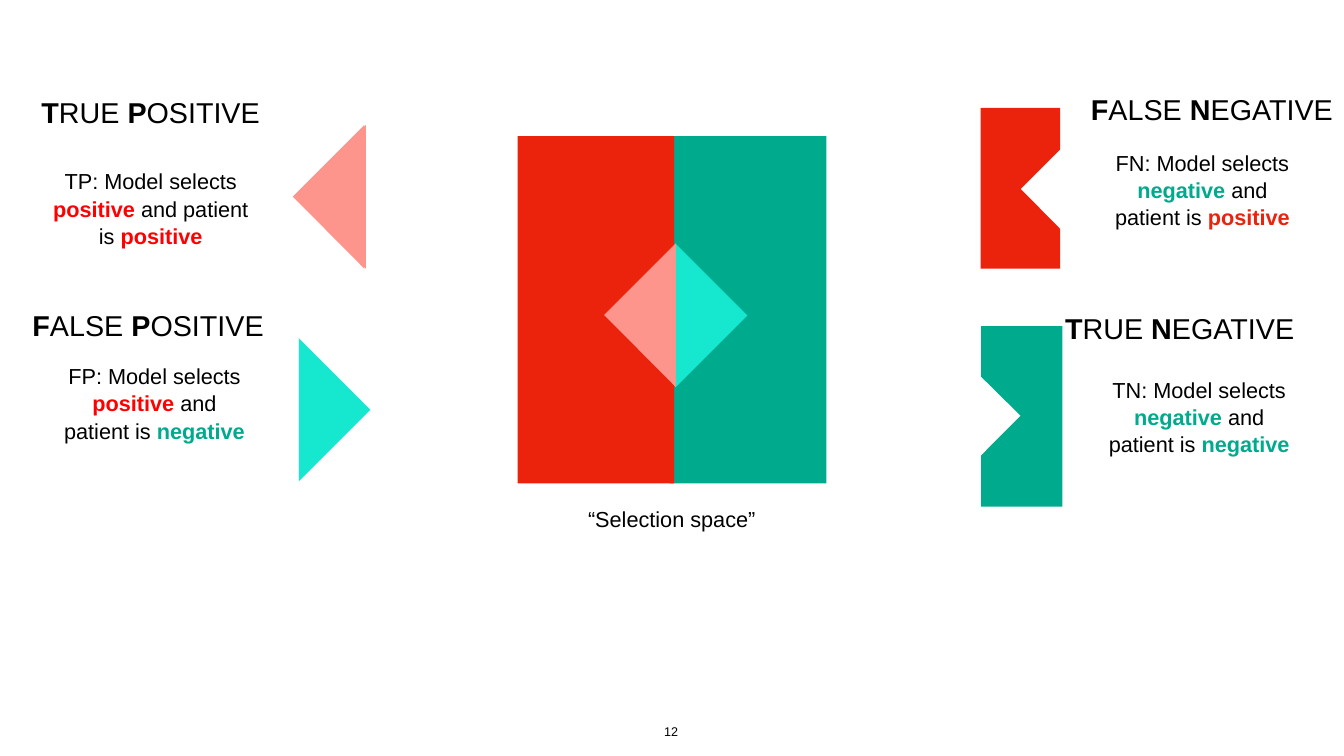
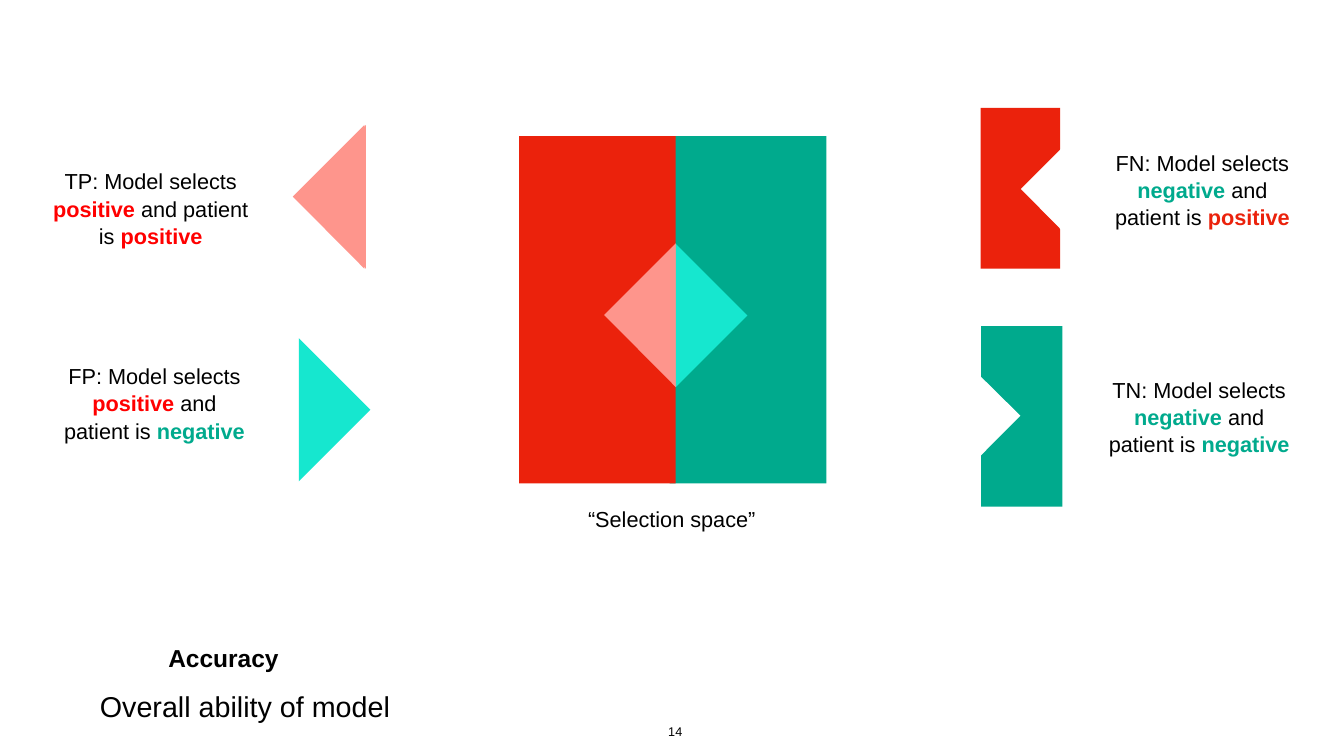
from pptx import Presentation
from pptx.dml.color import RGBColor as RGB
from pptx.enum.shapes import MSO_SHAPE as Shape
from pptx.enum.text import MSO_ANCHOR as Anchor, PP_ALIGN as Align
from pptx.util import Pt

PX = 9144  # 100 px to the inch
WIDE, HIGH = 2667, 1500
FONT = "Arial"
BLACK, WHITE = RGB(0, 0, 0), RGB(255, 255, 255)
RED, TEAL = RGB(0xEB, 0x22, 0x0C), RGB(0x00, 0xAA, 0x8D)
PINK, AQUA = RGB(0xFE, 0x95, 0x8C), RGB(0x16, 0xE7, 0xCF)
BRIGHT = RGB(0xFF, 0, 0)


def paint(shape, color):
    shape.shadow.inherit = False
    shape.fill.solid()
    shape.fill.fore_color.rgb = color
    shape.line.fill.background()


def block(slide, box, color):
    paint(slide.shapes.add_shape(Shape.RECTANGLE, *(v * PX for v in box)), color)


def wedge(slide, base, tip, top, high, color):
    """Triangle with an upright base and its tip halfway down."""
    pen = slide.shapes.build_freeform(base, top, scale=PX)
    pen.add_line_segments([(tip, top + high // 2), (base, top + high)])
    paint(pen.convert_to_shape(), color)


def write(slide, box, runs, size, anchor=Anchor.MIDDLE, gap=None):
    """Centred text; runs are (text, bold, colour)."""
    frame = slide.shapes.add_textbox(*(v * PX for v in box)).text_frame
    frame.word_wrap = True
    frame.vertical_anchor = anchor
    frame.margin_left = frame.margin_right = 6 * PX
    frame.margin_top = frame.margin_bottom = 6 * PX
    para = frame.paragraphs[0]
    para.alignment = Align.CENTER
    para.line_spacing = gap
    para.font.name, para.font.size = FONT, Pt(size)
    for text, bold, color in runs:
        run = para.add_run()
        run.text = text
        run.font.bold = bold
        run.font.color.rgb = color


def plain(slide, box, text, size, bold=False, anchor=Anchor.MIDDLE):
    write(slide, box, [(text, bold, BLACK)], size, anchor)


def heading(slide, box, words):
    """Capitals with the first letter of each word in bold."""
    runs = []
    for i, word in enumerate(words):
        tail = " " if i < len(words) - 1 else ""
        runs += [(word[0], True, BLACK), (word[1:] + tail, False, BLACK)]
    write(slide, box, runs, 41)


def caption(slide, box, code, model, patient):
    """Explains one outcome; model and patient are (word, colour)."""
    runs = [(f"{code}: Model selects ", False, BLACK),
            (model[0], True, model[1]),
            (" and patient is ", False, BLACK),
            (patient[0], True, patient[1])]
    write(slide, box, runs, 31, gap=1.05)


def space(slide, left, top, red):
    """Central field: two halves with a diamond across them."""
    mid = left + 314
    block(slide, (left + 302, top, 311, 689), TEAL)
    block(slide, (red, top, 311, 689), RED)
    wedge(slide, mid, mid - 142, top + 213, 285, PINK)
    wedge(slide, mid, mid + 142, top + 214, 284, AQUA)
    plain(slide, (left + 128, top + 728, 356, 63), "“Selection space”", 31)


def chosen(slide, left, top):
    """Left side: what the model selects."""
    hit = ("positive", BRIGHT)
    for base in (723, 726):
        wedge(slide, left + base - 97, left + base - 239, top, 285, PINK)
    wedge(slide, left + 496, left + 638, top + 423, 284, AQUA)
    caption(slide, (left, top + 80, 404, 169), "TP", hit, hit)
    caption(slide, (left + 14, top + 466, 391, 169), "FP", hit, ("negative", TEAL))


def spared(slide, left, top):
    """Right side: what the model leaves out."""
    miss = ("negative", TEAL)
    block(slide, (left, top, 158, 319), RED)
    wedge(slide, left + 162, left + 80, top + 79, 165, WHITE)
    block(slide, (left + 1, top + 433, 161, 358), TEAL)
    wedge(slide, left - 4, left + 79, top + 529, 165, WHITE)
    caption(slide, (left + 238, top + 77, 404, 169), "FN", miss, ("positive", RED))
    caption(slide, (left + 238, top + 527, 391, 169), "TN", miss, miss)


def base(deck, number, mid, red):
    """Slide with the parts that both slides share."""
    slide = deck.slides.add_slide(deck.slide_layouts[6])
    space(slide, 1027, 270, red)
    chosen(slide, 97, 248)
    spared(slide, 1946, 214)
    plain(slide, (mid - 33, 1430, 66, 42), number, 18, anchor=Anchor.BOTTOM)
    return slide


def outcomes(deck):
    slide = base(deck, "12", 1332, 1027)
    for left, top, words in ((-17, 183, ("TRUE", "POSITIVE")),
                             (-22, 604, ("FALSE", "POSITIVE")),
                             (2089, 176, ("FALSE", "NEGATIVE")),
                             (2025, 611, ("TRUE", "NEGATIVE"))):
        heading(slide, (left, top, 632, 80), words)


def accuracy(deck):
    slide = base(deck, "14", 1340, 1030)
    plain(slide, (312, 1270, 263, 70), "Accuracy", 35, bold=True)
    plain(slide, (178, 1360, 617, 80), "Overall ability of model", 41)


def main():
    deck = Presentation()
    deck.slide_width, deck.slide_height = WIDE * PX, HIGH * PX
    outcomes(deck)
    accuracy(deck)
    deck.save("out.pptx")


if __name__ == "__main__":
    main()
